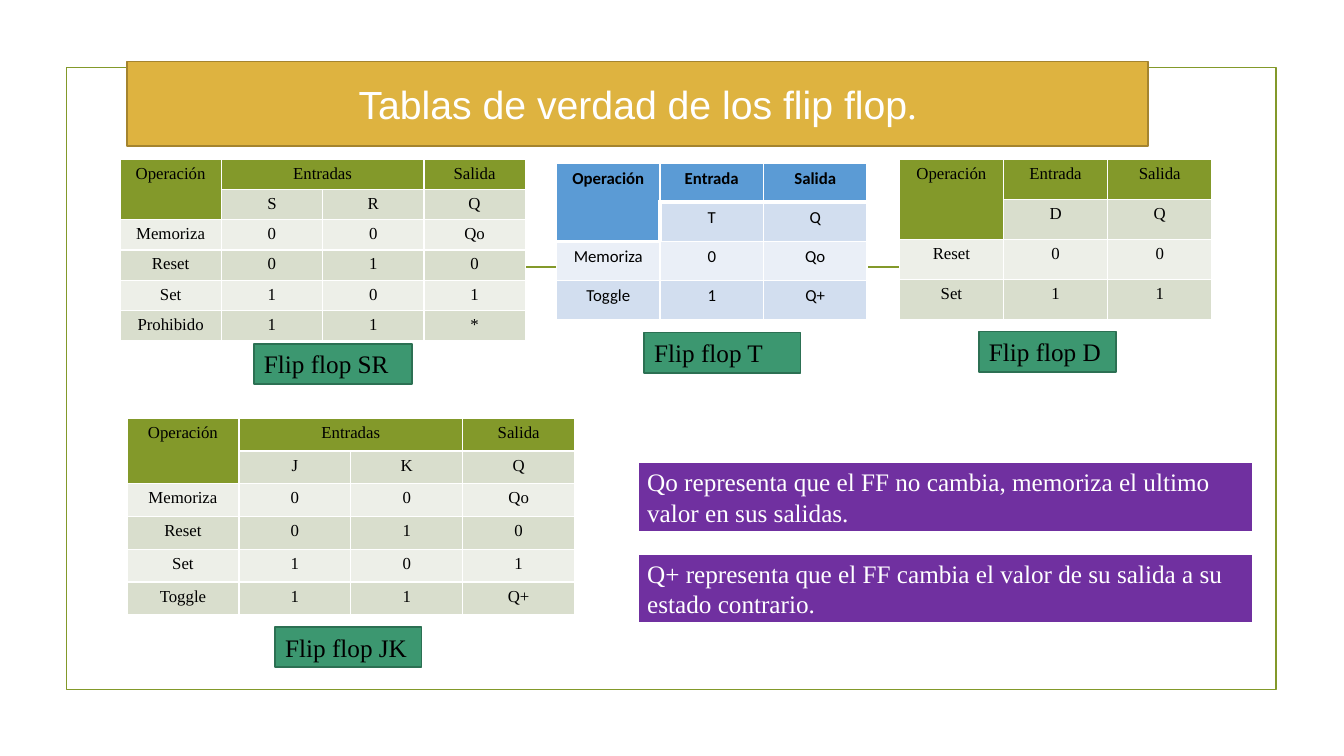
from lxml.etree import SubElement
from pptx import Presentation
from pptx.dml.color import RGBColor
from pptx.enum.shapes import MSO_CONNECTOR, MSO_SHAPE
from pptx.enum.text import MSO_ANCHOR, PP_ALIGN
from pptx.oxml.ns import qn
from pptx.util import Inches, Pt

WHITE = RGBColor(0xFF, 0xFF, 0xFF)
BLACK = RGBColor(0, 0, 0)
OLIVE = RGBColor(0x83, 0x99, 0x2A)
GOLD = RGBColor(0xDE, 0xB3, 0x40)
BRONZE = RGBColor(0xA4, 0x84, 0x2F)
GREEN = RGBColor(0x3C, 0x97, 0x70)
PINE = RGBColor(0x2C, 0x70, 0x53)
PURPLE = RGBColor(0x70, 0x30, 0xA0)
SERIF = "Times New Roman"

OLIVES = (OLIVE, RGBColor(0xD9, 0xDE, 0xCD), RGBColor(0xED, 0xEF, 0xE8))
BLUES = (RGBColor(0x5B, 0x9B, 0xD5), RGBColor(0xD2, 0xDE, 0xEF),
         RGBColor(0xEA, 0xEF, 0xF7))
OLIVE_LOOK = (OLIVES, SERIF, False, 1)
BLUE_LOOK = (BLUES, "Calibri", True, 3)

TITLE = ("Tablas de verdad de los flip flop", ".")
TABLES = [
    ((1.19, 1.58, 4.02, 1.8), OLIVE_LOOK, [
        ("Operación", "Entradas", None, "Salida"),
        (None, "S", "R", "Q"),
        ("Memoriza", "0", "0", "Qo"),
        ("Reset", "0", "1", "0"),
        ("Set", "1", "0", "1"),
        ("Prohibido", "1", "1", "*")]),
    ((5.52, 1.62, 3.08, 1.55), BLUE_LOOK, [
        ("Operación", "Entrada", "Salida"),
        (None, "T", "Q"),
        ("Memoriza", "0", "Qo"),
        ("Toggle", "1", "Q+")]),
    ((1.26, 4.15, 4.44, 1.95), OLIVE_LOOK, [
        ("Operación", "Entradas", None, "Salida"),
        (None, "J", "K", "Q"),
        ("Memoriza", "0", "0", "Qo"),
        ("Reset", "0", "1", "0"),
        ("Set", "1", "0", "1"),
        ("Toggle", "1", "1", "Q+")]),
    ((8.92, 1.58, 3.1, 1.59), OLIVE_LOOK, [
        ("Operación", "Entrada", "Salida"),
        (None, "D", "Q"),
        ("Reset", "0", "0"),
        ("Set", "1", "1")]),
]
LABELS = [
    ("Flip flop SR", (2.52, 3.41, 1.57, 0.4)),
    ("Flip flop T", (6.39, 3.3, 1.55, 0.4)),
    ("Flip flop JK", (2.73, 6.22, 1.45, 0.4)),
    ("Flip flop D", (9.71, 3.29, 1.36, 0.4)),
]
NOTES = [
    ("Qo representa que el FF no cambia, memoriza el ultimo valor en sus salidas.",
     (6.32, 4.58, 6.11, 0.7)),
    ("Q+ representa que el FF cambia el valor de su salida a su estado contrario.",
     (6.32, 5.49, 6.11, 0.7)),
]


def add_box(slide, box, fill, edge, width=1.25):
    shape = slide.shapes.add_shape(MSO_SHAPE.RECTANGLE, *map(Inches, box))
    shape.shadow.inherit = False
    if fill is None:
        shape.fill.background()
    else:
        shape.fill.solid()
        shape.fill.fore_color.rgb = fill
    shape.line.color.rgb = edge
    shape.line.width = Pt(width)
    return shape


def add_label(slide, text, box, fill, edge, color, width=1.25):
    frame = add_box(slide, box, fill, edge, width).text_frame
    frame.word_wrap = True
    frame.vertical_anchor = MSO_ANCHOR.TOP
    line = frame.paragraphs[0]
    line.text = text
    line.alignment = PP_ALIGN.LEFT
    line.font.name = SERIF
    line.font.size = Pt(18)
    line.font.color.rgb = color


def add_title(slide):
    frame = add_box(slide, (1.26, 0.61, 10.13, 0.84), GOLD, BRONZE).text_frame
    frame.vertical_anchor = MSO_ANCHOR.MIDDLE
    line = frame.paragraphs[0]
    line.alignment = PP_ALIGN.CENTER
    line.font.size = Pt(28)
    line.font.color.rgb = WHITE
    for text, font in zip(TITLE, ("Arial", SERIF)):
        run = line.add_run()
        run.text = text
        run.font.name = font


def set_edges(cell, top, bottom, left):
    props = cell._tc.get_or_add_tcPr()
    for side, width in (("L", left), ("R", 1), ("T", top), ("B", bottom)):
        edge = SubElement(props, qn("a:ln" + side), w=str(Pt(width)))
        fill = SubElement(edge, qn("a:solidFill"))
        SubElement(fill, qn("a:srgbClr"), val=str(WHITE))


def add_truth(slide, box, look, rows):
    fills, font, bold, rule = look
    high, wide = len(rows), len(rows[0])
    table = slide.shapes.add_table(high, wide, *map(Inches, box)).table
    table.first_row = table.horz_banding = False
    for col in table.columns:
        col.width = Inches(box[2] / wide)
    for row in table.rows:
        row.height = Inches(box[3] / high)
    for r, row in enumerate(rows):
        for c, text in enumerate(row):
            cell = table.cell(r, c)
            head = r == 0 or (r, c) == (1, 0)
            above = rule if (r == 1 and c) or (r == 2 and c == 0) else 1
            set_edges(cell, above, rule if head else 1,
                      rule if (r, c) == (1, 1) else 1)
            cell.fill.solid()
            cell.fill.fore_color.rgb = fills[0 if head else 2 - r % 2]
            if text is None:
                continue
            line = cell.text_frame.paragraphs[0]
            line.text = text
            line.alignment = PP_ALIGN.CENTER
            line.font.name = font
            line.font.size = Pt(12)
            line.font.bold = bold and head
            line.font.color.rgb = BLACK
    table.cell(0, 0).merge(table.cell(1, 0))
    if rows[0][2] is None:
        table.cell(0, 1).merge(table.cell(0, 2))


def main():
    deck = Presentation()
    deck.slide_width, deck.slide_height = Inches(13.33), Inches(7.5)
    slide = deck.slides.add_slide(deck.slide_layouts[6])
    add_box(slide, (0.66, 0.67, 12, 6.17), None, OLIVE)
    rule = slide.shapes.add_connector(
        MSO_CONNECTOR.STRAIGHT, *map(Inches, (1.53, 2.65, 11.81, 2.65)))
    rule.line.color.rgb = OLIVE
    rule.line.width = Pt(1.25)
    SubElement(rule._element.spPr, qn("a:effectLst"))
    add_title(slide)
    for box, look, rows in TABLES:
        add_truth(slide, box, look, rows)
    for text, box in LABELS:
        add_label(slide, text, box, GREEN, PINE, BLACK)
    for text, box in NOTES:
        add_label(slide, text, box, PURPLE, WHITE, WHITE, 2)
    deck.save("out.pptx")


if __name__ == "__main__":
    main()
